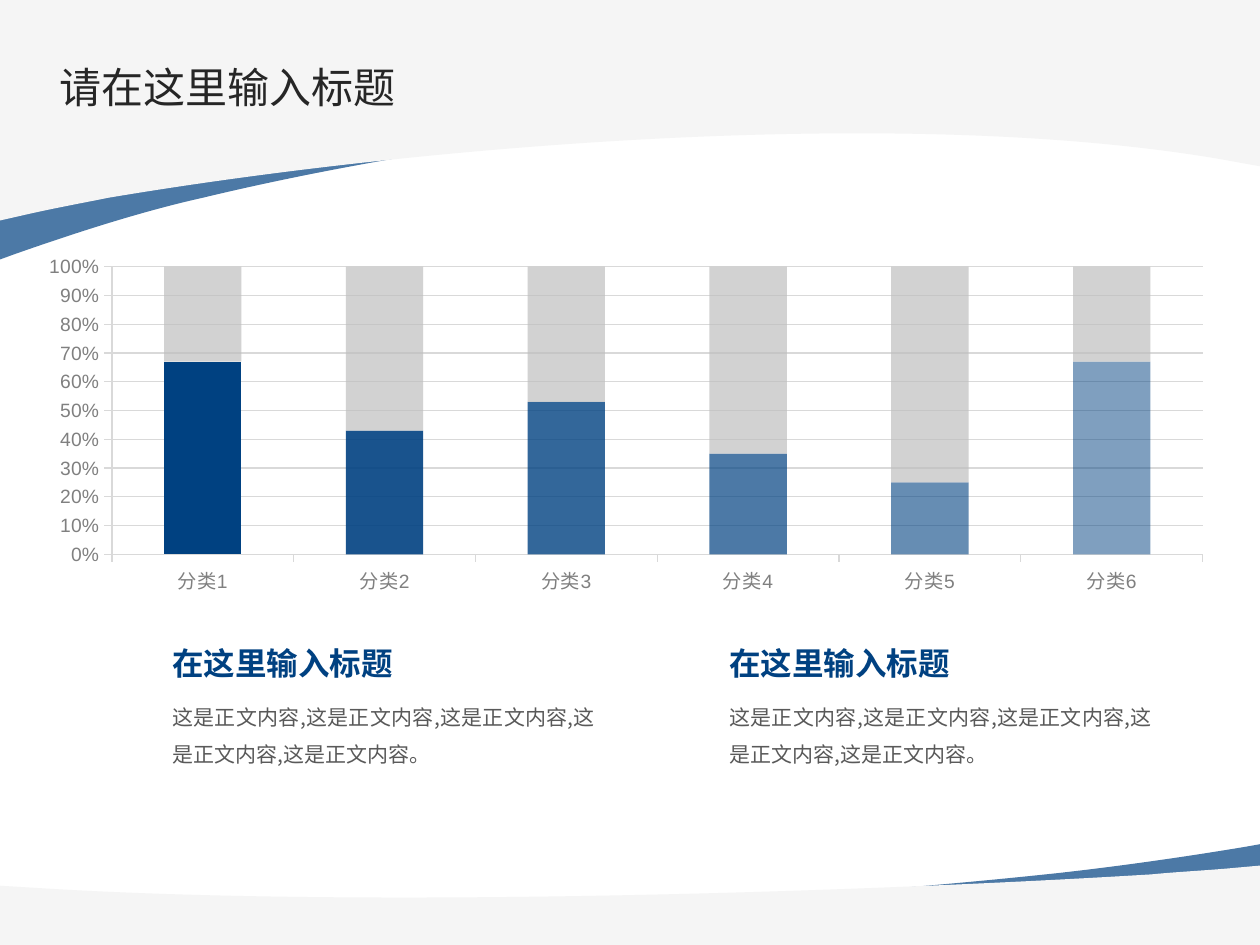
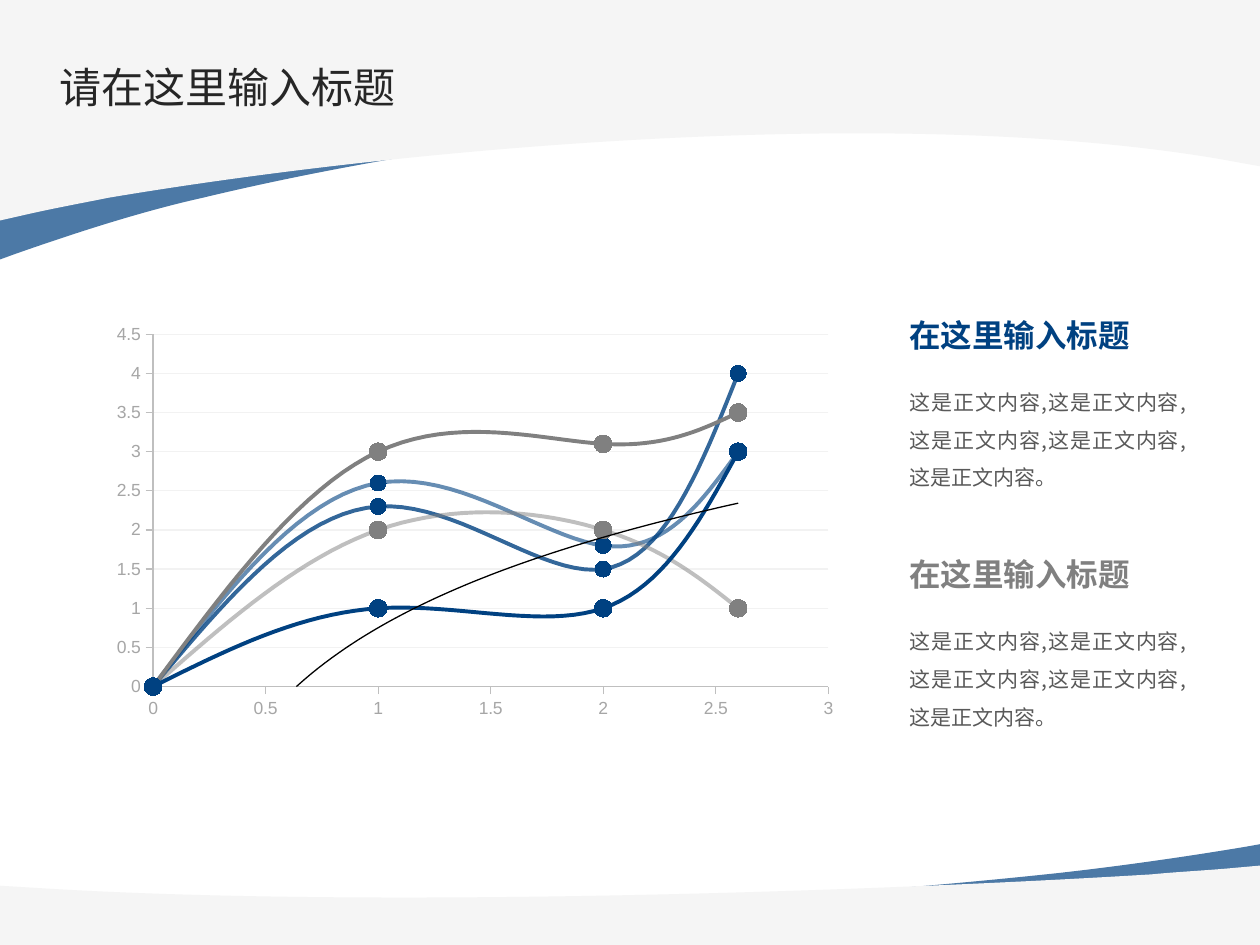
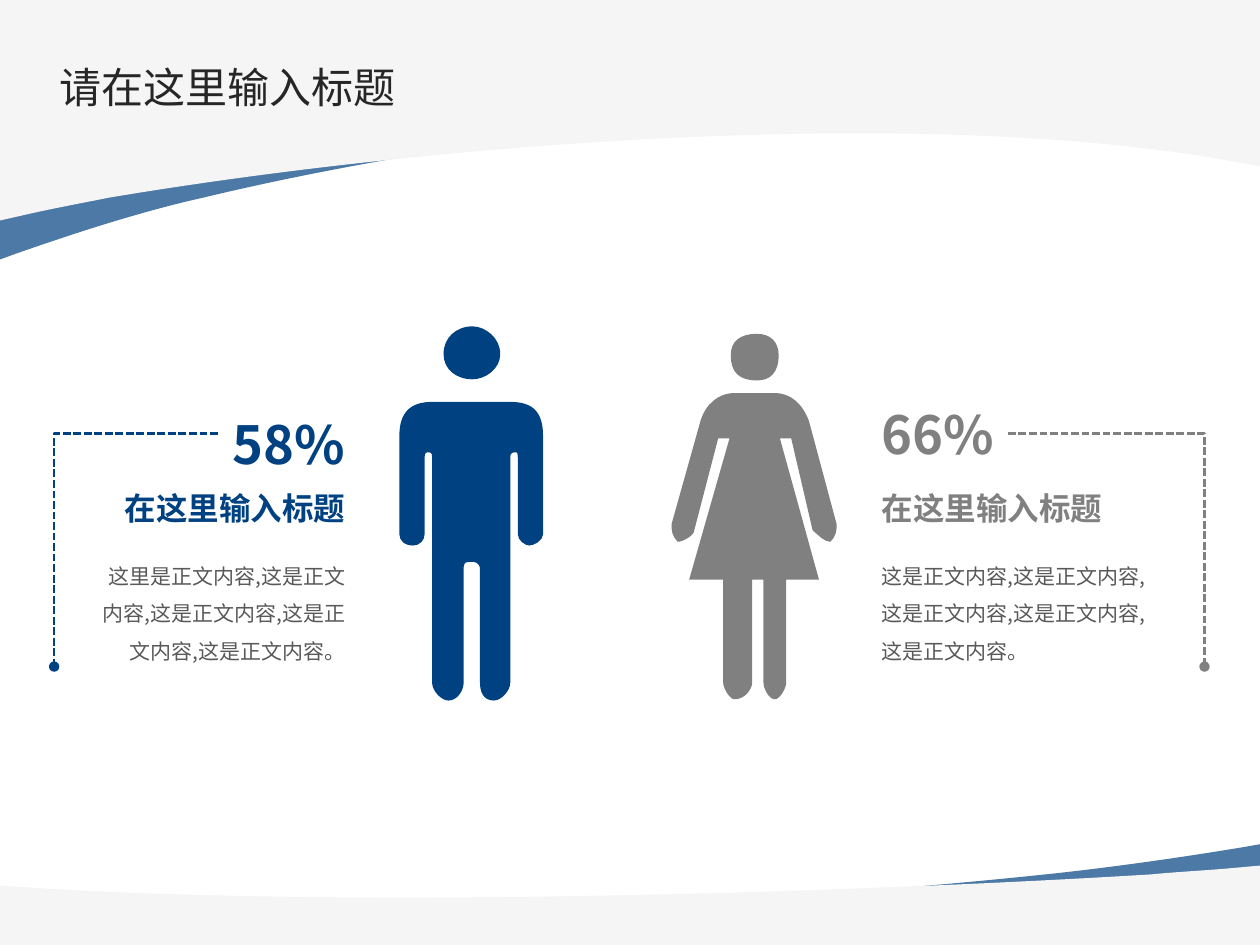
from lxml import etree
from pptx import Presentation
from pptx.chart.data import CategoryChartData, XyChartData
from pptx.dml.color import RGBColor
from pptx.enum.chart import XL_CHART_TYPE as ChartType, XL_MARKER_STYLE as Marker, XL_TICK_MARK as Tick
from pptx.enum.dml import MSO_LINE as Dash
from pptx.enum.text import MSO_ANCHOR as Anchor, MSO_AUTO_SIZE as AutoSize, PP_ALIGN as Align
from pptx.oxml import parse_xml
from pptx.oxml.ns import nsdecls, qn
from pptx.util import Inches, Pt

NAVY, GRAY, SILVER, PALE = "004181", "808080", "BFBFBF", "F5F5F5"
INK, BODY_INK = "262626", "595959"
FONT, CHART_FONT = "Noto Sans CJK SC", "Arial"
TITLE = "请在这里输入标题"
HEADING = "在这里输入标题"
BODY = "这是正文内容," * 4 + "这是正文内容。"

TOP_RIBBON = [(0, 2.06), (0, 0.66), (10, 0.66), (10, 1.24), (9.99, 1.23),
              (7.74, 0.53, 3.85, 1.03, 1.61, 1.57), (1.16, 1.67, 0.65, 1.83, 0.11, 2.02)]
TOP_BAND = [(0, 1.75), (0, 0), (10, 0), (10, 1.32), (9.67, 1.26),
            (7.06, 0.82, 3.17, 1.18, 0.86, 1.57), (0.66, 1.61, 0.44, 1.65, 0.22, 1.7)]
BOTTOM_RIBBON = [(10, 6.7), (10, 7.35), (0, 7.35), (0, 7.08), (0.01, 7.08),
                 (2.26, 7.41, 6.15, 7.17, 8.39, 6.93), (8.84, 6.88, 9.35, 6.81, 9.89, 6.72)]
BOTTOM_BAND = [(10, 6.87), (10, 7.5), (0, 7.5), (0, 7.03), (0.33, 7.05),
               (2.94, 7.21, 6.83, 7.08, 9.14, 6.94), (9.34, 6.92, 9.56, 6.91, 9.78, 6.89)]
MAN_BODY = [
    (0.88, 0.6), (0.26, 0.6), (0.09, 0.6, 0, 0.68, 0, 0.87), (0, 1.65),
    (0, 1.7, 0.04, 1.74, 0.11, 1.74), (0.16, 1.74, 0.2, 1.7, 0.2, 1.65), (0.2, 1.04),
    (0.2, 1, 0.22, 1, 0.22, 1), (0.25, 1, 0.26, 1, 0.26, 1.04), (0.26, 2.83),
    (0.26, 2.89, 0.33, 2.97, 0.39, 2.97), (0.46, 2.97, 0.51, 2.89, 0.51, 2.83), (0.51, 1.93),
    (0.51, 1.87, 0.52, 1.87, 0.58, 1.87), (0.59, 1.87, 0.64, 1.87, 0.64, 1.93), (0.64, 2.83),
    (0.64, 2.89, 0.66, 2.97, 0.75, 2.97), (0.81, 2.97, 0.88, 2.89, 0.88, 2.83), (0.88, 1.04),
    (0.88, 1, 0.9, 1, 0.93, 1), (0.93, 1, 0.94, 1, 0.94, 1.04), (0.94, 1.65),
    (0.94, 1.7, 1, 1.74, 1.03, 1.74), (1.07, 1.74, 1.14, 1.7, 1.14, 1.65), (1.14, 0.87),
    (1.14, 0.68, 1.06, 0.6, 0.88, 0.6)]
MAN_HEAD = [(0.58, 0), (0.45, 0, 0.35, 0.09, 0.35, 0.22), (0.35, 0.34, 0.45, 0.42, 0.58, 0.42),
            (0.68, 0.42, 0.8, 0.34, 0.8, 0.22), (0.8, 0.09, 0.68, 0, 0.58, 0)]
WOMAN_BODY = [
    (1.31, 1.51), (1.09, 0.69), (1.04, 0.56, 0.95, 0.47, 0.82, 0.47), (0.5, 0.47),
    (0.37, 0.47, 0.27, 0.56, 0.23, 0.69), (0, 1.51), (0, 1.56, 0, 1.6, 0.05, 1.65),
    (0.09, 1.65, 0.18, 1.6, 0.18, 1.56), (0.37, 0.83), (0.46, 0.83), (0.14, 1.95),
    (0.41, 1.95), (0.41, 2.77), (0.41, 2.81, 0.46, 2.9, 0.5, 2.9),
    (0.59, 2.9, 0.64, 2.81, 0.64, 2.77), (0.64, 1.95), (0.73, 1.95), (0.73, 2.77),
    (0.73, 2.81, 0.77, 2.9, 0.82, 2.9), (0.86, 2.9, 0.91, 2.81, 0.91, 2.77), (0.91, 1.95),
    (1.17, 1.95), (0.86, 0.83), (0.95, 0.83), (1.12, 1.56),
    (1.17, 1.6, 1.21, 1.65, 1.26, 1.65), (1.31, 1.6, 1.31, 1.56, 1.31, 1.51)]
WOMAN_HEAD = [(0.68, 0.37), (0.78, 0.37, 0.85, 0.31, 0.85, 0.17), (0.85, 0.06, 0.78, 0, 0.68, 0),
              (0.54, 0, 0.47, 0.06, 0.47, 0.17), (0.47, 0.31, 0.54, 0.37, 0.68, 0.37)]


def paint(fill, color, opacity=100):
    """Fill with a solid hex colour at an opacity in percent."""
    fill.solid()
    fill.fore_color.rgb = RGBColor.from_string(color)
    if opacity < 100:
        solid = fill._xPr.find(qn("a:solidFill"))
        etree.SubElement(solid[0], qn("a:alpha"), val=str(opacity * 1000))


def stroke(line, color, width, opacity=100):
    """Give a line its colour and width in points."""
    line.width = Pt(width)
    paint(line.fill, color, opacity)


def write(page, text, left, top, width, height, *, size=12, color=BODY_INK, bold=False,
          align=Align.LEFT, anchor=Anchor.TOP, spacing=None, wrap=True, grow=True,
          hanging=True, margins=(0.1, 0.05, 0.1, 0.05)):
    """Place a formatted text box."""
    frame = page.shapes.add_textbox(Inches(left), Inches(top), Inches(width), Inches(height)).text_frame
    frame.word_wrap = wrap
    frame.auto_size = AutoSize.SHAPE_TO_FIT_TEXT if grow else AutoSize.NONE
    frame.vertical_anchor = anchor
    (frame.margin_left, frame.margin_top,
     frame.margin_right, frame.margin_bottom) = map(Inches, margins)
    para = frame.paragraphs[0]
    para.alignment = align
    para.line_spacing = spacing
    if not hanging:
        para._p.get_or_add_pPr().set("hangingPunct", "0")
    span = para.add_run()
    span.text = text
    font = span.font
    font.size, font.bold, font.name = Pt(size), bold, FONT
    font.color.rgb = RGBColor.from_string(color)
    etree.SubElement(span._r.get_or_add_rPr(), qn("a:ea"), typeface=FONT)


def write_heading(page, left, top, color=NAVY, align=Align.LEFT):
    """Place a bold section heading."""
    write(page, HEADING, left, top, 1.97, 0.32, size=18, color=color, bold=True, align=align,
          anchor=Anchor.MIDDLE, spacing=Pt(15), wrap=False)


def write_body(page, left, top, width, height, text=BODY, align=Align.JUSTIFY, hanging=True):
    """Place a body paragraph."""
    write(page, text, left, top, width, height, align=align, spacing=1.5, hanging=hanging)


def bend(shape, segment, straight, left, top):
    """Replace a straight segment of a shape with a cubic curve."""
    curve = etree.Element(qn("a:cubicBezTo"))
    for x, y in zip(segment[::2], segment[1::2]):
        etree.SubElement(curve, qn("a:pt"), x=str(Inches(left + x) - shape.left),
                         y=str(Inches(top + y) - shape.top))
    straight.getparent().replace(straight, curve)


def draw_outline(page, outline, left=0, top=0, close=True):
    """Draw lines and curves from a corner and return the shape."""
    points = [(Inches(left + x), Inches(top + y)) for *_, x, y in outline]
    builder = page.shapes.build_freeform(*points[0])
    builder.add_line_segments(points[1:], close=close)
    shape = builder.convert_to_shape()
    shape.shadow.inherit = False
    straights = list(shape._element.iter(qn("a:lnTo")))
    for segment, straight in zip(outline[1:], straights):
        if len(segment) == 6:
            bend(shape, segment, straight, left, top)
    return shape


def draw_area(page, outline, color, left=0, top=0, opacity=100):
    """Draw a filled outline without a border."""
    shape = draw_outline(page, outline, left, top)
    paint(shape.fill, color, opacity)
    shape.line.fill.background()


def draw_leader(page, outline, color):
    """Draw a dashed open line that ends in a dot."""
    shape = draw_outline(page, outline, close=False)
    shape.fill.background()
    stroke(shape.line, color, 1.5)
    shape.line.dash_style = Dash.SQUARE_DOT
    etree.SubElement(shape.line._get_or_add_ln(), qn("a:tailEnd"), type="oval")


def add_page(deck):
    """Add a page with the shared bands and title."""
    page = deck.slides.add_slide(deck.slide_layouts[6])
    for ribbon, band in ((TOP_RIBBON, TOP_BAND), (BOTTOM_RIBBON, BOTTOM_BAND)):
        draw_area(page, ribbon, NAVY, opacity=70)
        draw_area(page, band, PALE)
    write(page, TITLE, 0.4, 0.41, 9, 0.58, size=24, color=INK, anchor=Anchor.MIDDLE,
          wrap=False, grow=False, margins=(0.07, 0.06, 0, 0.09))
    return page


def add_plain_chart(page, kind, data, box, size, color, axis_color, grid_color):
    """Add a chart with styled axes and no legend."""
    chart = page.shapes.add_chart(kind, *map(Inches, box), data).chart
    chart.has_legend = chart.has_title = False
    chart.font.size, chart.font.name = Pt(size), CHART_FONT
    chart.font.color.rgb = RGBColor.from_string(color)
    for axis in (chart.category_axis, chart.value_axis):
        axis.major_tick_mark, axis.minor_tick_mark = Tick.OUTSIDE, Tick.NONE
        stroke(axis.format.line, axis_color, 0.75)
    chart.category_axis.has_major_gridlines = False
    chart.value_axis.has_major_gridlines = True
    stroke(chart.value_axis.major_gridlines.format.line, grid_color, 0.75)
    return chart


def set_plot_area(chart, **fractions):
    """Fix the inner plot area by fractions of the chart."""
    area = chart._chartSpace.chart.plotArea
    for layout in area.findall(qn("c:layout")):
        area.remove(layout)
    sizes = "".join(f'<c:{name} val="{value}"/>' for name, value in fractions.items())
    area.insert(0, parse_xml(
        f'<c:layout {nsdecls("c")}><c:manualLayout><c:layoutTarget val="inner"/>'
        f'<c:xMode val="edge"/><c:yMode val="edge"/>{sizes}</c:manualLayout></c:layout>'))


def add_share_chart(page, box):
    """Add columns of shares that fade from left to right."""
    shares = [67, 43, 53, 35, 25, 67]
    data = CategoryChartData()
    data.categories = [f"分类{number}" for number in range(1, 7)]
    data.add_series("Series 1", shares)
    data.add_series("Series 2", [100 - share for share in shares])
    chart = add_plain_chart(page, ChartType.COLUMN_STACKED_100, data, box, 11, GRAY, "D9D9D9", "D9D9D9")
    labels = chart.value_axis.tick_labels
    labels.number_format, labels.number_format_is_linked = "0%", False
    set_plot_area(chart, x=0.096, y=0.089, w=0.907, h=0.761)
    plot = chart.plots[0]
    plot.gap_width, plot.overlap, plot.vary_by_categories = 135, 100, False
    filled, rest = plot.series
    for index in range(len(shares)):
        paint(filled.points[index].format.fill, NAVY, 100 - 10 * index)
        paint(rest.points[index].format.fill, SILVER, 70)


def add_curve_chart(page, box):
    """Add smooth curves and a logarithmic trend line."""
    curves = [((0, 1, 1, 3), NAVY, 100, 10), ((0, 2, 2, 1), GRAY, 50, 10),
              ((0, 3, 3.1, 3.5), GRAY, 100, 10), ((0, 2.3, 1.5, 4), NAVY, 80, 9),
              ((0, 2.6, 1.8, 3), NAVY, 60, 9)]
    data = XyChartData()
    for number, (heights, *_) in enumerate(curves, 1):
        series = data.add_series(f"Series {number}")
        for x, y in zip((0, 1, 2, 2.6), heights):
            series.add_data_point(x, y)
    chart = add_plain_chart(page, ChartType.XY_SCATTER_SMOOTH, data, box, 10, "A6A6A6", SILVER, "F2F2F2")
    for axis, maximum in ((chart.category_axis, 3), (chart.value_axis, 4.5)):
        axis.minimum_scale, axis.maximum_scale, axis.major_unit = 0, maximum, 0.5
    plot = chart.plots[0]
    plot.vary_by_categories = False
    for series, (_, color, opacity, size) in zip(plot.series, curves):
        stroke(series.format.line, color, 2.25, opacity)
        series.marker.style, series.marker.size = Marker.CIRCLE, size
        paint(series.marker.format.fill, color)
        stroke(series.marker.format.line, color, 0.75)
        series._element.find(qn("c:smooth")).set("val", "1")
    trend = parse_xml(
        f'<c:trendline {nsdecls("c", "a")}><c:spPr><a:ln w="9525"><a:solidFill>'
        '<a:srgbClr val="000000"/></a:solidFill></a:ln></c:spPr><c:trendlineType val="log"/>'
        '<c:dispRSqr val="0"/><c:dispEq val="0"/></c:trendline>')
    plot.series[0]._element.find(qn("c:xVal")).addprevious(trend)


def add_figure(page, left, top, outlines, color):
    """Draw a pictogram of a person."""
    for outline in outlines:
        draw_area(page, outline, color, left, top)


def add_person_text(page, left, top, width, percent, color, text, align):
    """Write a percentage, heading and paragraph on one text edge."""
    def start(part):
        """Give the left edge of a part of this width."""
        return left + width - part if align == Align.RIGHT else left

    write(page, percent, start(1.11), top, 1.11, 0.77, size=30, color=color, bold=True,
          align=align, wrap=False, margins=(0.1, 0.13, 0.1, 0.13))
    write_heading(page, start(1.97), 3.92, color, align)
    write_body(page, left, 4.32, width, 1.01, text, align)


def build_share_page(deck):
    """Build the column chart page."""
    page = add_page(deck)
    add_share_chart(page, (0, 1.85, 9.55, 3))
    for left in (1.27, 5.69):
        write_body(page, left, 5.44, 3.55, 0.67)
        write_heading(page, left, 5.15)


def build_curve_page(deck):
    """Build the curve chart page."""
    page = add_page(deck)
    for top, color in ((2.54, NAVY), (4.44, GRAY)):
        write_body(page, 7.12, top + 0.4, 2.39, 1.01, hanging=False)
        write_heading(page, 7.12, top, color)
    add_curve_chart(page, (0.81, 2.51, 5.92, 3.26))


def build_people_page(deck):
    """Build the page that compares two people."""
    page = add_page(deck)
    add_figure(page, 3.17, 2.59, (MAN_BODY, MAN_HEAD), NAVY)
    add_figure(page, 5.33, 2.65, (WOMAN_BODY, WOMAN_HEAD), GRAY)
    add_person_text(page, 0.69, 3.14, 2.15, "58%", NAVY, BODY.replace("这是", "这里是", 1), Align.RIGHT)
    add_person_text(page, 6.9, 3.06, 2.41, "66%", GRAY, BODY, Align.LEFT)
    for start, end, color in ((8, 9.56, GRAY), (1.73, 0.43, NAVY)):
        draw_leader(page, [(start, 3.44), (end, 3.44), (end, 5.29)], color)


def main():
    """Build and save the deck."""
    deck = Presentation()
    deck.slide_width, deck.slide_height = Inches(10), Inches(7.5)
    build_share_page(deck)
    build_curve_page(deck)
    build_people_page(deck)
    deck.save("out.pptx")


if __name__ == "__main__":
    main()
